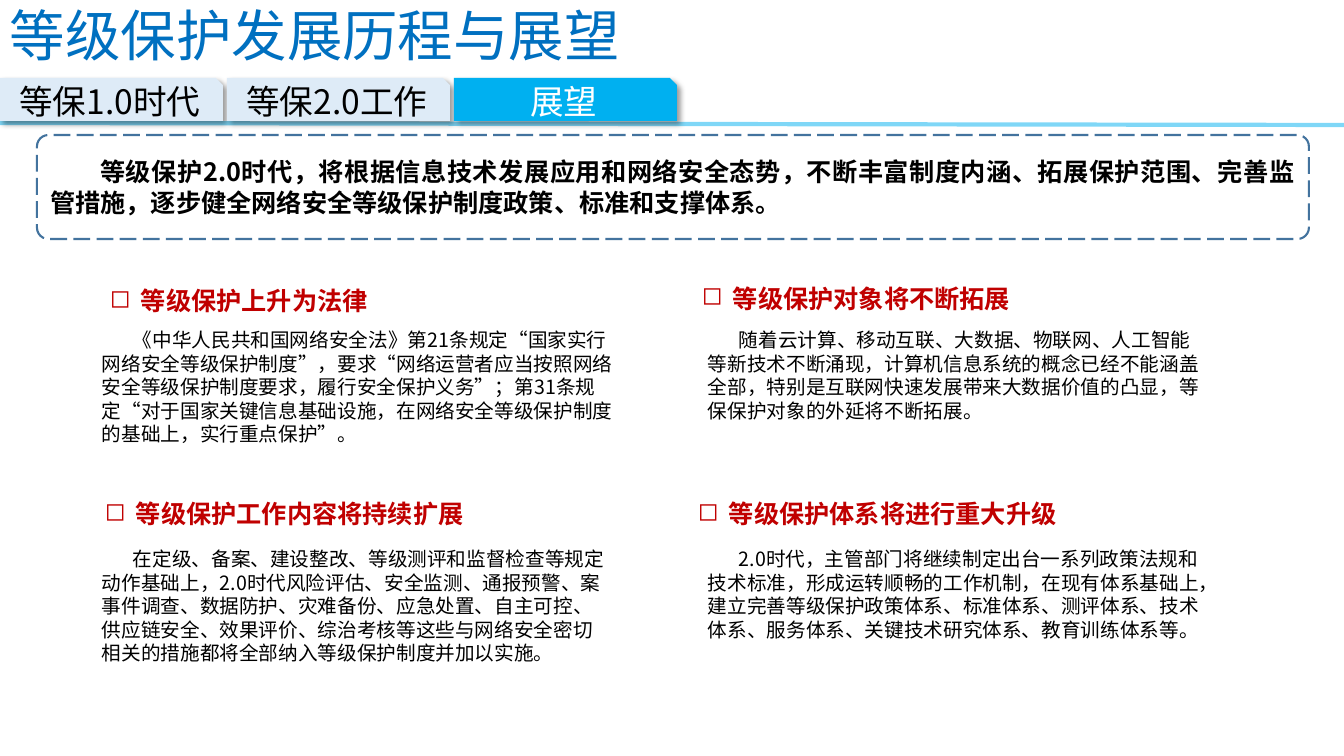
from lxml import etree
from pptx import Presentation
from pptx import util as u
from pptx.dml.color import RGBColor
from pptx.enum import dml, shapes, text
from pptx.oxml import ns

SCALE = 914400 / 100.8
FONT = "Noto Sans CJK SC"
BLACK = RGBColor(0, 0, 0)
WHITE = RGBColor(255, 255, 255)
TITLE_BLUE = RGBColor(0x00, 0x70, 0xC0)
BRIGHT_BLUE = RGBColor(0x00, 0xB0, 0xF0)
PALE_BLUE = RGBColor(0xDE, 0xEB, 0xF7)
BORDER_BLUE = RGBColor(0x43, 0x73, 0x9E)
RED = RGBColor(0xC0, 0, 0)

TABS = [
    ("等保1.0时代", PALE_BLUE, BLACK),
    ("等保2.0工作", PALE_BLUE, BLACK),
    ("展望", BRIGHT_BLUE, WHITE),
]
SUMMARY = "等级保护2.0时代，将根据信息技术发展应用和网络安全态势，不断丰富制度内涵、拓展保护范围、完善监管措施，逐步健全网络安全等级保护制度政策、标准和支撑体系。"
TOPICS = [
    ("等级保护上升为法律", (100, 280, 281, 40),
     "《中华人民共和国网络安全法》第21条规定“国家实行网络安全等级保护制度”，要求“网络运营者应当按照网络安全等级保护制度要求，履行安全保护义务”；第31条规定“对于国家关键信息基础设施，在网络安全等级保护制度的基础上，实行重点保护”。",
     (92, 323, 537, 129)),
    ("等级保护对象将不断拓展", (692, 278, 332, 40),
     "随着云计算、移动互联、大数据、物联网、人工智能等新技术不断涌现，计算机信息系统的概念已经不能涵盖全部，特别是互联网快速发展带来大数据价值的凸显，等保保护对象的外延将不断拓展。",
     (698, 323, 514, 105)),
    ("等级保护工作内容将持续扩展", (95, 493, 383, 40),
     "在定级、备案、建设整改、等级测评和监督检查等规定动作基础上，2.0时代风险评估、安全监测、通报预警、案事件调查、数据防护、灾难备份、应急处置、自主可控、供应链安全、效果评价、综治考核等这些与网络安全密切相关的措施都将全部纳入等级保护制度并加以实施。",
     (92, 542, 526, 129)),
    ("等级保护体系将进行重大升级", (688, 493, 383, 40),
     "2.0时代，主管部门将继续制定出台一系列政策法规和技术标准，形成运转顺畅的工作机制，在现有体系基础上，建立完善等级保护政策体系、标准体系、测评体系、技术体系、服务体系、关键技术研究体系、教育训练体系等。",
     (698, 542, 514, 129)),
]


def px(value):
    return u.Emu(round(value * SCALE))


def add_element(parent, tag, **attributes):
    return etree.SubElement(parent, ns.qn(tag), attributes)


def apply(target, values):
    for name, value in values.items():
        setattr(target, name, value)


def write(shape, content, size, color, bold=False, frame=None, layout=None, margin=0, indent=0):
    apply(shape.text_frame, {"word_wrap": True, **(frame or {})})
    paragraph = shape.text_frame.paragraphs[0]
    apply(paragraph, {"alignment": text.PP_ALIGN.LEFT, **(layout or {})})
    properties = paragraph._p.get_or_add_pPr()
    properties.set("marL", str(px(margin)))
    properties.set("indent", str(px(indent)))
    run = paragraph.add_run()
    run.text = content
    apply(run.font, {"name": FONT, "size": u.Pt(size), "bold": bold})
    run.font.color.rgb = color
    add_element(run._r.get_or_add_rPr(), "a:ea", typeface=FONT)
    return paragraph


def add_text(slide, box, *args, **options):
    shape = slide.shapes.add_textbox(*map(px, box))
    return write(shape, *args, **options)


def add_divider(slide):
    line = slide.shapes.add_connector(
        shapes.MSO_CONNECTOR.STRAIGHT, px(0), px(123), px(1344), px(125))
    line.line.width = u.Pt(3)
    line.line.color.rgb = BRIGHT_BLUE
    color = line.line._ln.find(".//" + ns.qn("a:srgbClr"))
    add_element(color, "a:alpha", val="50000")
    add_element(line._element.spPr, "a:effectLst")


def add_tab(slide, index, label, fill, color):
    tab = slide.shapes.add_shape(
        shapes.MSO_SHAPE.SNIP_1_RECTANGLE, *map(px, (index * 227, 78, 223, 43)))
    tab.fill.solid()
    tab.fill.fore_color.rgb = fill
    tab.line.fill.background()
    tab.shadow.inherit = False
    effects = tab._element.spPr.find(ns.qn("a:effectLst"))
    shadow = add_element(effects, "a:outerShdw", blurRad=str(u.Pt(4)), dist=str(u.Pt(3)),
                         dir="2700000", algn="tl", rotWithShape="0")
    shade = add_element(shadow, "a:srgbClr", val="000000")
    add_element(shade, "a:alpha", val="40000")
    write(tab, label, 24, color, frame={"vertical_anchor": text.MSO_ANCHOR.MIDDLE},
          layout={"alignment": text.PP_ALIGN.CENTER})


def add_summary(slide):
    panel = slide.shapes.add_shape(
        shapes.MSO_SHAPE.ROUNDED_RECTANGLE, *map(px, (37, 135, 1272, 104)))
    panel.adjustments[0] = 0.11
    panel.fill.background()
    panel.shadow.inherit = False
    panel.line.color.rgb = BORDER_BLUE
    apply(panel.line, {"width": u.Pt(1.5), "dash_style": dml.MSO_LINE.LONG_DASH})
    write(panel, SUMMARY, 18, BLACK, bold=True,
          frame={"vertical_anchor": text.MSO_ANCHOR.MIDDLE},
          layout={"alignment": text.PP_ALIGN.JUSTIFY}, indent=50)


def add_topic(slide, heading, heading_box, body, body_box):
    grow = {"auto_size": text.MSO_AUTO_SIZE.SHAPE_TO_FIT_TEXT}
    paragraph = add_text(slide, heading_box, heading, 18, RED, bold=True,
                         frame={**grow, "word_wrap": False}, margin=31, indent=-31)
    add_element(paragraph._p.get_or_add_pPr(), "a:buChar", char="◻")
    add_text(slide, body_box, body, 14, BLACK, frame=grow, indent=31)


def main():
    presentation = Presentation()
    apply(presentation, {"slide_width": px(1344), "slide_height": px(756)})
    slide = presentation.slides.add_slide(presentation.slide_layouts[6])
    add_divider(slide)
    for index, tab in enumerate(TABS):
        add_tab(slide, index, *tab)
    add_text(slide, (0, 1, 868, 76), "等级保护发展历程与展望", 39.6, TITLE_BLUE,
             frame={"vertical_anchor": text.MSO_ANCHOR.MIDDLE}, layout={"line_spacing": 0.9})
    add_summary(slide)
    for topic in TOPICS:
        add_topic(slide, *topic)
    presentation.save("out.pptx")


if __name__ == "__main__":
    main()
